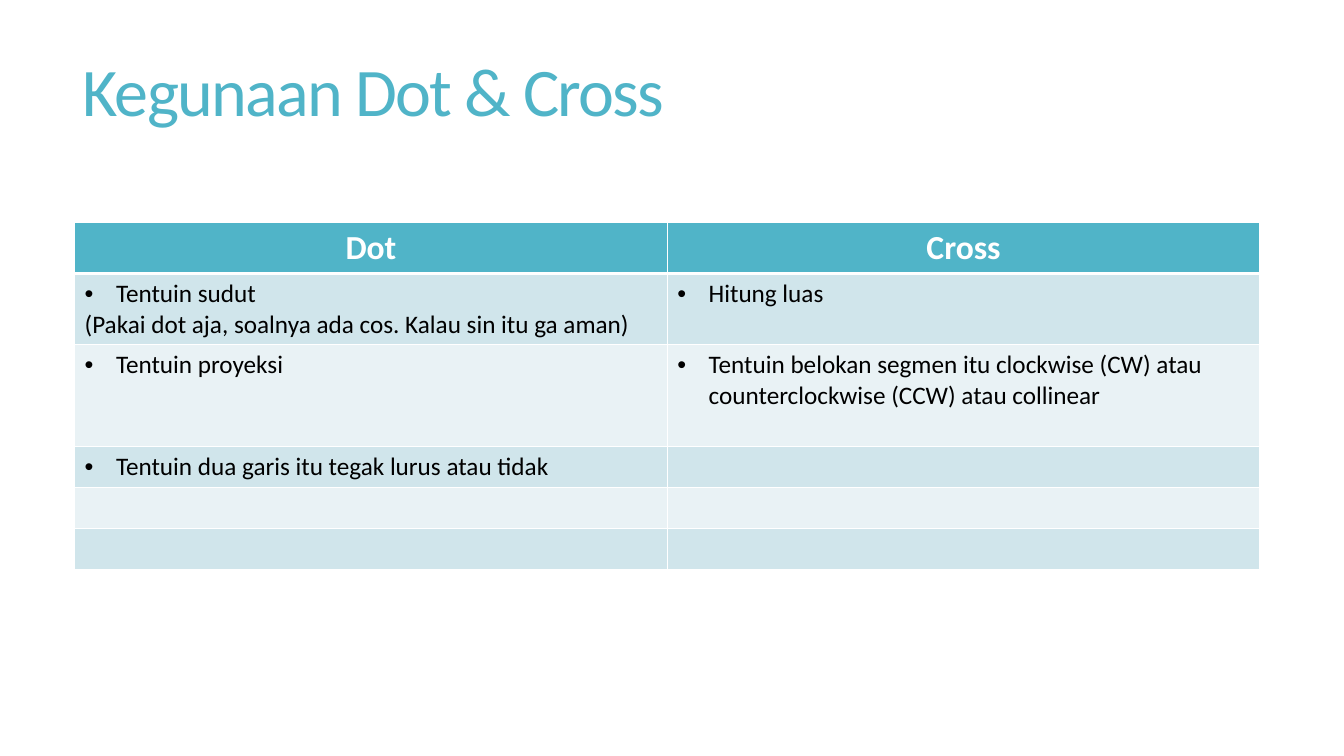
import pptx
import pptx.util
import pptx.dml.color
import pptx.enum.text
import pptx.oxml
import pptx.oxml.ns
from pptx.util import Cm

TEAL = pptx.dml.color.RGBColor(0x50, 0xB4, 0xC8)
BAND_DARK = pptx.dml.color.RGBColor(0xD0, 0xE5, 0xEB)
BAND_LIGHT = pptx.dml.color.RGBColor(0xE9, 0xF2, 0xF5)
WHITE = pptx.dml.color.RGBColor(0xFF, 0xFF, 0xFF)
BLACK = pptx.dml.color.RGBColor(0, 0, 0)

BULLET = "• "
ROWS = [
    ("Dot", "Cross"),
    (BULLET + "Tentuin sudut\n(Pakai dot aja, soalnya ada cos. Kalau sin itu ga aman)",
     BULLET + "Hitung luas"),
    (BULLET + "Tentuin proyeksi",
     BULLET + "Tentuin belokan segmen itu clockwise (CW) atau "
     "counterclockwise (CCW) atau collinear"),
    (BULLET + "Tentuin dua garis itu tegak lurus atau tidak", ""),
    ("", ""),
    ("", ""),
]
ROW_HEIGHTS = [1.29, 1.8, 2.57, 1.03, 1.03, 1.03]


def add_borders(cell, row):
    """Draw white cell borders, thicker between the header and the body."""
    widths = {"lnL": 1, "lnR": 1, "lnT": 3 if row == 1 else 1, "lnB": 3 if row == 0 else 1}
    tcPr = cell._tc.get_or_add_tcPr()
    for i, (side, width) in enumerate(widths.items()):
        tcPr.insert(i, pptx.oxml.parse_xml(
            f'<a:{side} {pptx.oxml.ns.nsdecls("a")} w="{pptx.util.Pt(width)}">'
            f'<a:solidFill><a:srgbClr val="{WHITE}"/></a:solidFill></a:{side}>'))


def add_bullet(p):
    pPr = p._p.get_or_add_pPr()
    pPr.set("marL", str(Cm(0.79)))
    pPr.set("indent", str(-Cm(0.79)))
    for xml in ('<a:buFont {} typeface="Arial"/>', '<a:buChar {} char="•"/>'):
        pPr.append(pptx.oxml.parse_xml(xml.format(pptx.oxml.ns.nsdecls("a"))))


prs = pptx.Presentation()
prs.slide_width, prs.slide_height = Cm(33.87), Cm(19.05)
s = prs.slides.add_slide(prs.slide_layouts[6])

# Title
sp = s.shapes.add_textbox(Cm(1.83), Cm(1.4), Cm(29.92), Cm(2))
tf = sp.text_frame
tf.word_wrap = True
tf.vertical_anchor = pptx.enum.text.MSO_ANCHOR.MIDDLE
tf.text = "Kegunaan Dot & Cross"
p = tf.paragraphs[0]
p.line_spacing = 0.85
r = p.runs[0]
r.font.name = "Calibri"
r.font.size = pptx.util.Pt(48.6)
r.font.color.rgb = TEAL
r._r.get_or_add_rPr().set("spc", "-120")

# Comparison table
table = s.shapes.add_table(len(ROWS), 2, Cm(1.88), Cm(5.6), Cm(29.87),
                           Cm(sum(ROW_HEIGHTS))).table
for i, (texts, height) in enumerate(zip(ROWS, ROW_HEIGHTS)):
    table.rows[i].height = Cm(height)
    header = i == 0
    for j, text in enumerate(texts):
        cell = table.cell(i, j)
        cell.fill.solid()
        cell.fill.fore_color.rgb = TEAL if header else BAND_DARK if i % 2 else BAND_LIGHT
        add_borders(cell, i)
        cell.text_frame.text = text.replace(BULLET, "")
        if text.startswith(BULLET):
            add_bullet(cell.text_frame.paragraphs[0])
        for p in cell.text_frame.paragraphs:
            if header:
                p.alignment = pptx.enum.text.PP_ALIGN.CENTER
            for r in p.runs:
                r.font.name = "Calibri"
                r.font.size = pptx.util.Pt(24 if header else 18)
                r.font.bold = header
                r.font.color.rgb = WHITE if header else BLACK

prs.save("out.pptx")
